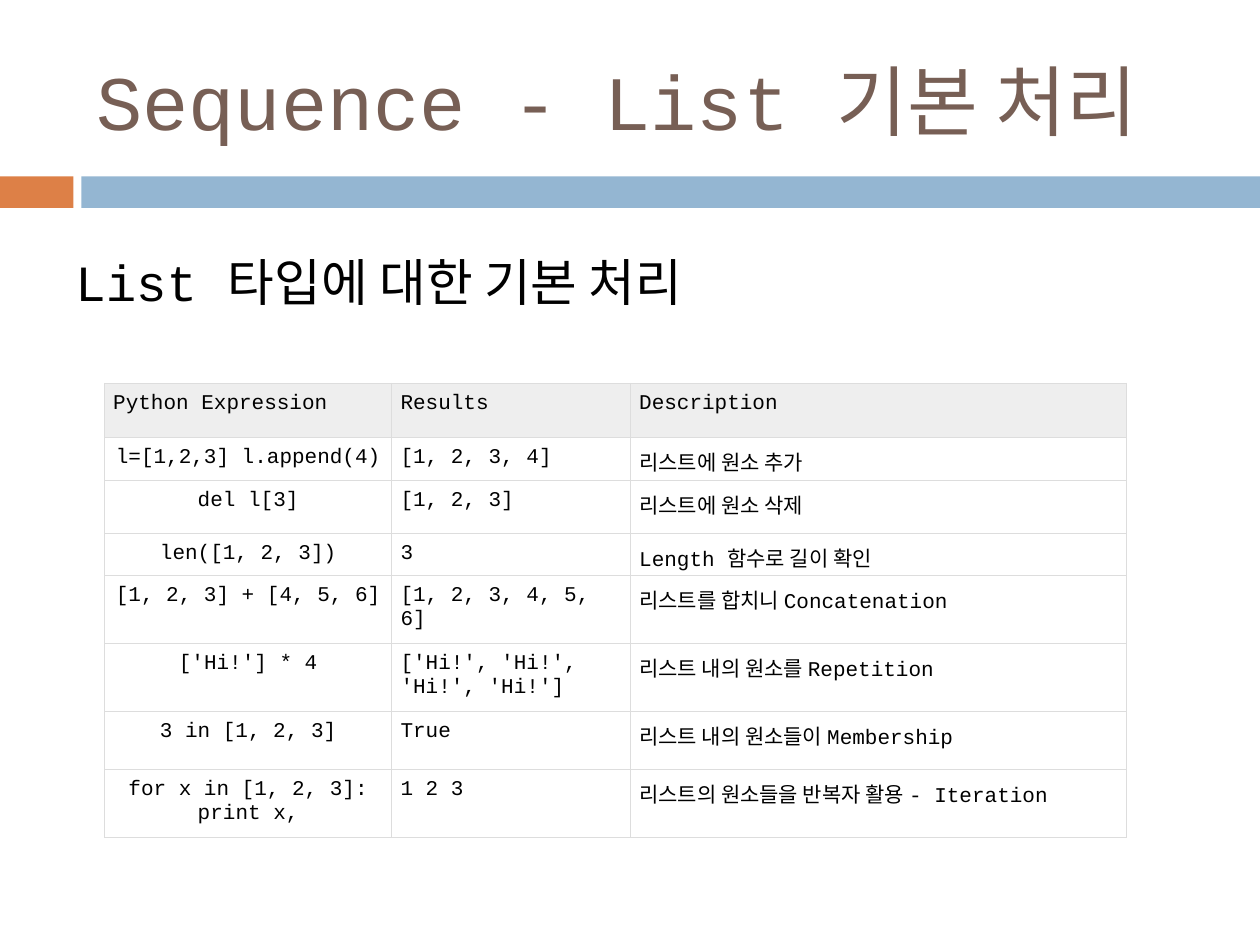
from dataclasses import dataclass

from lxml.etree import SubElement
from pptx import Presentation
from pptx.dml.color import RGBColor as RGB
from pptx.enum.shapes import MSO_SHAPE as SHAPE
from pptx.enum.text import MSO_ANCHOR as ANCHOR, PP_ALIGN as ALIGN
from pptx.oxml.ns import qn
from pptx.util import Pt


@dataclass(frozen=True)
class Theme:
    font: str = "Courier New"
    title: str = "775F55"
    text: str = "000000"
    accent: str = "DD8047"
    band: str = "94B6D2"
    header: str = "EEEEEE"
    border: str = "DDDDDD"
    title_size: float = 44
    body_size: float = 29
    cell_size: float = 12


THEME = Theme()
COLUMN_WIDTHS = (164.2, 136.4, 283.6)
ROW_HEIGHTS = (31, 22.3, 30.2, 22.3, 30.2, 28.1, 33.1, 37.4)
ROWS = (
    ("Python Expression", "Results", "Description"),
    ("l=[1,2,3] l.append(4)", "[1, 2, 3, 4]", "리스트에 원소 추가"),
    ("del l[3]", "[1, 2, 3]", "리스트에 원소 삭제"),
    ("len([1, 2, 3])", "3", "Length 함수로 길이 확인"),
    ("[1, 2, 3] + [4, 5, 6]", "[1, 2, 3, 4, 5, 6]", "리스트를 합치니 Concatenation"),
    ("['Hi!'] * 4", "['Hi!', 'Hi!', 'Hi!', 'Hi!']", "리스트 내의 원소를 Repetition"),
    ("3 in [1, 2, 3]", "True", "리스트 내의 원소들이 Membership"),
    ("for x in [1, 2, 3]: print x,", "1 2 3", "리스트의 원소들을 반복자 활용 - Iteration"),
)


def write(tf, text, size, color, align=ALIGN.LEFT):
    p = tf.paragraphs[0]
    p.text = text
    p.alignment = align
    for r in p.runs:
        r.font.name = THEME.font
        r.font.size = Pt(size)
        r.font.color.rgb = RGB.from_string(color)


def add_bar(s, x, y, w, h, color):
    sp = s.shapes.add_shape(SHAPE.RECTANGLE, Pt(x), Pt(y), Pt(w), Pt(h))
    sp.shadow.inherit = False
    sp.fill.solid()
    sp.fill.fore_color.rgb = RGB.from_string(color)
    sp.line.fill.background()


def add_text(s, x, y, w, h, text, size, color, anchor=ANCHOR.TOP):
    tf = s.shapes.add_textbox(Pt(x), Pt(y), Pt(w), Pt(h)).text_frame
    tf.word_wrap = True
    tf.vertical_anchor = anchor
    write(tf, text, size, color)


def add_borders(cell):
    tcPr = cell._tc.get_or_add_tcPr()
    for i, side in enumerate(("lnL", "lnR", "lnT", "lnB")):
        ln = tcPr.makeelement(qn(f"a:{side}"), {"w": str(Pt(0.6))})
        SubElement(SubElement(ln, qn("a:solidFill")), qn("a:srgbClr"), val=THEME.border)
        tcPr.insert(i, ln)


def format_cell(cell, text, is_header, align):
    cell.margin_left = cell.margin_right = Pt(5)
    cell.margin_top = cell.margin_bottom = Pt(5)
    if is_header:
        cell.fill.solid()
        cell.fill.fore_color.rgb = RGB.from_string(THEME.header)
    else:
        cell.fill.background()
    write(cell.text_frame, text, THEME.cell_size, THEME.text, align)
    add_borders(cell)


def add_grid(s, x, y):
    table = s.shapes.add_table(
        len(ROWS), len(COLUMN_WIDTHS), Pt(x), Pt(y),
        Pt(sum(COLUMN_WIDTHS)), Pt(sum(ROW_HEIGHTS)),
    ).table
    table.first_row = table.horz_banding = False
    for column, width in zip(table.columns, COLUMN_WIDTHS):
        column.width = Pt(width)
    for i, (row, height, texts) in enumerate(zip(table.rows, ROW_HEIGHTS, ROWS)):
        row.height = Pt(height)
        for j, text in enumerate(texts):
            align = ALIGN.CENTER if i > 0 and j == 0 else ALIGN.LEFT
            format_cell(table.cell(i, j), text, i == 0, align)


def main():
    prs = Presentation()
    prs.slide_width, prs.slide_height = Pt(720), Pt(540)
    s = prs.slides.add_slide(prs.slide_layouts[6])
    add_bar(s, 0, 100.8, 42, 18, THEME.accent)
    add_bar(s, 46.5, 100.8, 673.5, 18, THEME.band)
    add_text(s, 48, 18, 642, 78, "Sequence - List 기본 처리",
             THEME.title_size, THEME.title, ANCHOR.MIDDLE)
    add_text(s, 36, 139.7, 648, 82, "List 타입에 대한 기본 처리",
             THEME.body_size, THEME.text)
    add_grid(s, 59.7, 219)
    prs.save("out.pptx")


if __name__ == "__main__":
    main()
